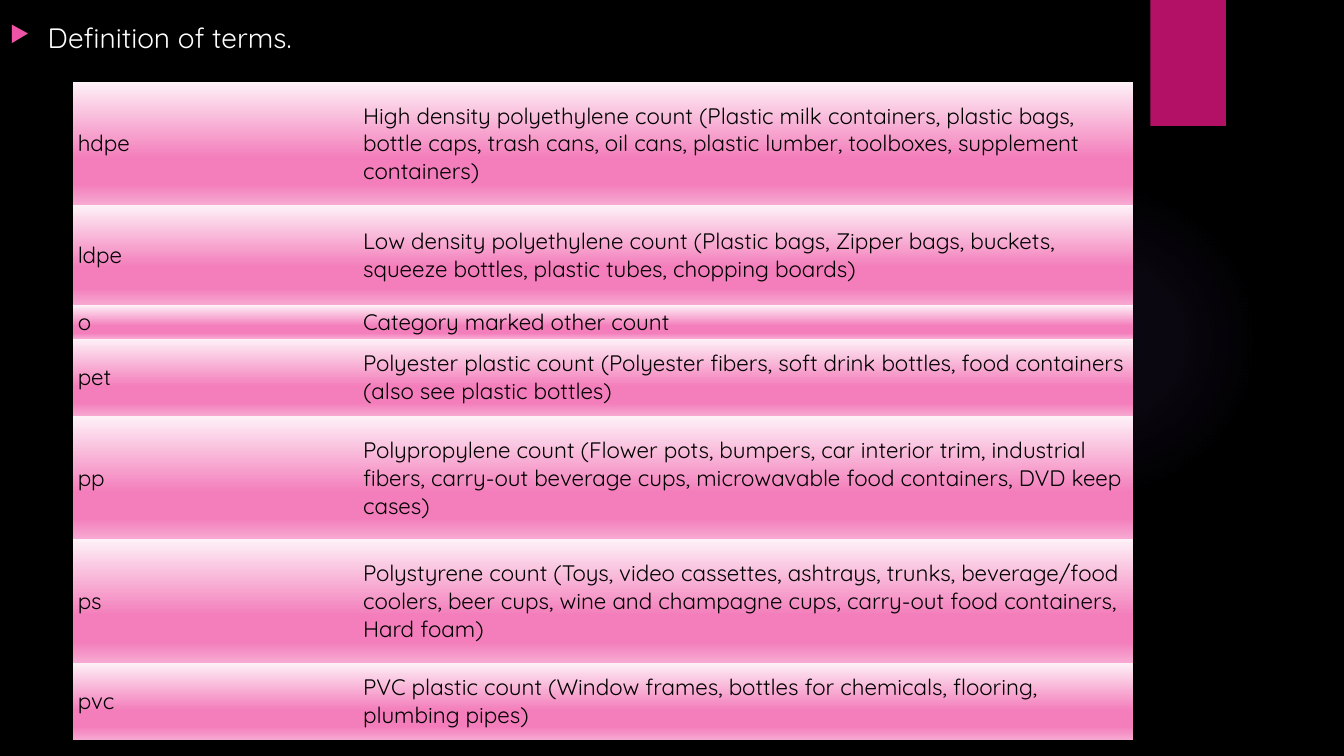
from lxml import etree
from pptx import Presentation
from pptx import util as u
from pptx.dml.color import RGBColor
from pptx.enum import shapes, text
from pptx.oxml import parse_xml
from pptx.oxml.ns import nsdecls, qn

BLACK = RGBColor(0x00, 0x00, 0x00)
WHITE = RGBColor(0xFF, 0xFF, 0xFF)
MAGENTA = RGBColor(0xB3, 0x11, 0x66)
PINK = RGBColor(0xEF, 0x53, 0xA5)
VIOLET = RGBColor(0x9B, 0x6B, 0xF2)
CELL_TOP = RGBColor(0xFE, 0xF1, 0xF7)
CELL_MID = RGBColor(0xF3, 0x7E, 0xBB)
CELL_END = RGBColor(0xF7, 0xA9, 0xD2)

CELL_STOPS = [(0, CELL_TOP, 100), (62, CELL_MID, 100), (83, CELL_MID, 100), (100, CELL_END, 100)]
GLOW_STOPS = [(0, VIOLET, 7), (36, VIOLET, 6), (69, VIOLET, 0)]
LINEAR = '<a:lin ang="5400000" scaled="0"/>'
RADIAL = '<a:path path="circle"><a:fillToRect l="50000" t="50000" r="50000" b="50000"/></a:path>'
NO_GRID = "{2D5ABB26-0587-4C30-8999-92F81FD0307C}"

TERMS = [
    ("hdpe", "High density polyethylene count (Plastic milk containers, plastic bags, bottle caps, "
             "trash cans, oil cans, plastic lumber, toolboxes, supplement containers)", 88),
    ("ldpe", "Low density polyethylene count (Plastic bags, Zipper bags, buckets, squeeze bottles, "
             "plastic tubes, chopping boards)", 71.5),
    ("o", "Category marked other count", 24),
    ("pet", "Polyester plastic count (Polyester fibers, soft drink bottles, food containers "
            "(also see plastic bottles)", 55.3),
    ("pp", "Polypropylene count (Flower pots, bumpers, car interior trim, industrial fibers, "
           "carry-out beverage cups, microwavable food containers, DVD keep cases)", 88),
    ("ps", "Polystyrene count (Toys, video cassettes, ashtrays, trunks, beverage/food coolers, "
           "beer cups, wine and champagne cups, carry-out food containers, Hard foam)", 88),
    ("pvc", "PVC plastic count (Window frames, bottles for chemicals, flooring, plumbing pipes)", 55.3),
]


def gradient(stops, direction):
    gs = "".join(
        f'<a:gs pos="{pos * 1000}"><a:srgbClr val="{color}"><a:alpha val="{alpha * 1000}"/></a:srgbClr></a:gs>'
        for pos, color, alpha in stops)
    return parse_xml(f'<a:gradFill {nsdecls("a")} rotWithShape="1"><a:gsLst>{gs}</a:gsLst>{direction}</a:gradFill>')


def write(p, content, size, color):
    r = p.add_run()
    r.text = content
    for name, value in {"name": "Quicksand", "size": u.Pt(size)}.items():
        setattr(r.font, name, value)
    r.font.color.rgb = color


prs = Presentation()
prs.slide_width, prs.slide_height = u.Pt(960), u.Pt(540)
s = prs.slides.add_slide(prs.slide_layouts[6])
s.background.fill.solid()
s.background.fill.fore_color.rgb = BLACK

glow = s.shapes.add_shape(shapes.MSO_SHAPE.OVAL, u.Pt(677.5), u.Pt(131.8), u.Pt(221.8), u.Pt(221.8))
glow.shadow.inherit = False
glow.line.fill.background()
glow._element.spPr.find(qn("a:prstGeom")).addnext(gradient(GLOW_STOPS, RADIAL))

tab = s.shapes.add_shape(shapes.MSO_SHAPE.RECTANGLE, u.Pt(821.7), u.Pt(0), u.Pt(54), u.Pt(90))
tab.shadow.inherit = False
tab.fill.solid()
tab.fill.fore_color.rgb = MAGENTA
tab.line.fill.background()

tf = s.shapes.add_textbox(u.Pt(0), u.Pt(10.8), u.Pt(818), u.Pt(539.3)).text_frame
tf.word_wrap = True
p = tf.paragraphs[0]
pPr = p._p.get_or_add_pPr()
pPr.set("marL", str(u.Pt(27)))
pPr.set("indent", str(-u.Pt(27)))
etree.SubElement(etree.SubElement(pPr, qn("a:buClr")), qn("a:srgbClr")).set("val", str(PINK))
etree.SubElement(pPr, qn("a:buSzPct")).set("val", "80000")
etree.SubElement(pPr, qn("a:buChar")).set("char", "▶")
write(p, "Definition of terms.", 20, WHITE)

height = sum(term[2] for term in TERMS)
table = s.shapes.add_table(len(TERMS), 2, u.Pt(52), u.Pt(58.5), u.Pt(757.5), u.Pt(height)).table
table.first_row = table.horz_banding = False
table._tbl.tblPr.find(qn("a:tableStyleId")).text = NO_GRID
for column, width in zip(table.columns, (203.8, 553.7)):
    column.width = u.Pt(width)
cell_format = {
    "margin_left": u.Pt(3.6), "margin_right": u.Pt(3.6),
    "margin_top": u.Pt(2), "margin_bottom": u.Pt(2),
    "vertical_anchor": text.MSO_ANCHOR.MIDDLE,
}
for row, (term, meaning, row_height) in zip(table.rows, TERMS):
    row.height = u.Pt(row_height)
    for cell, content in zip(row.cells, (term, meaning)):
        for name, value in cell_format.items():
            setattr(cell, name, value)
        cell._tc.get_or_add_tcPr().append(gradient(CELL_STOPS, LINEAR))
        write(cell.text_frame.paragraphs[0], content, 16, BLACK)

prs.save("out.pptx")
